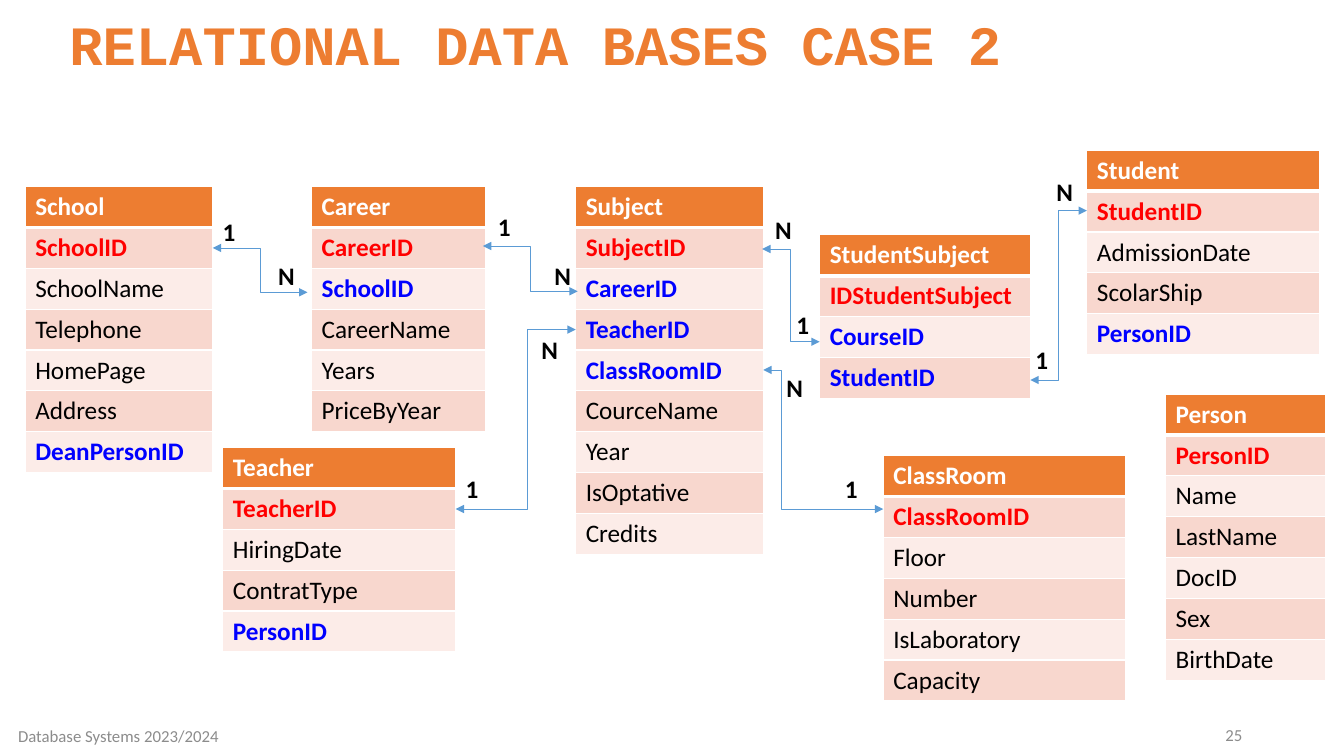
import pptx
import pptx.util
import pptx.dml.color
import pptx.enum.shapes
import pptx.enum.text
import pptx.oxml.ns
from lxml import etree

Inches = pptx.util.Inches
Pt = pptx.util.Pt
RGBColor = pptx.dml.color.RGBColor
PP_ALIGN = pptx.enum.text.PP_ALIGN
MSO_ANCHOR = pptx.enum.text.MSO_ANCHOR
qn = pptx.oxml.ns.qn

ORANGE = RGBColor(0xED, 0x7D, 0x31)
DARK_BAND = RGBColor(0xF8, 0xD7, 0xCE)
LIGHT_BAND = RGBColor(0xFC, 0xEC, 0xE8)
WHITE = RGBColor(0xFF, 0xFF, 0xFF)
BLACK = RGBColor(0, 0, 0)
RED = RGBColor(0xFF, 0, 0)
BLUE = RGBColor(0, 0, 0xFF)
LINK_BLUE = RGBColor(0x5B, 0x9B, 0xD5)
GRAY = RGBColor(0x8C, 0x8C, 0x8C)

ROW_HEIGHT = Inches(3.65) // 9
FOREIGN_KEYS = {"SchoolID", "DeanPersonID", "CareerID", "TeacherID",
                "ClassRoomID", "CourseID", "StudentID", "PersonID"}

TABLES = [
    (3.09, 1.85, 1.73, ["Career", "CareerID", "SchoolID", "CareerName", "Years",
                        "PriceByYear"]),
    (0.25, 1.85, 1.86, ["School", "SchoolID", "SchoolName", "Telephone", "HomePage",
                        "Address", "DeanPersonID"]),
    (5.71, 1.85, 1.86, ["Subject", "SubjectID", "CareerID", "TeacherID", "ClassRoomID",
                        "CourceName", "Year", "IsOptative", "Credits"]),
    (10.78, 1.49, 2.31, ["Student", "StudentID", "AdmissionDate", "ScolarShip",
                         "PersonID"]),
    (8.76, 4.52, 2.4, ["ClassRoom", "ClassRoomID", "Floor", "Number", "IsLaboratory",
                       "Capacity"]),
    (2.21, 4.44, 2.31, ["Teacher", "TeacherID", "HiringDate", "ContratType", "PersonID"]),
    (8.13, 2.33, 2.09, ["StudentSubject", "IDStudentSubject", "CourseID", "StudentID"]),
    (11.56, 3.91, 1.59, ["Person", "PersonID", "Name", "LastName", "DocID", "Sex",
                         "BirthDate"]),
]

LINKS = [
    (2.11, 2.46, 2.58, 3.05, 2.9),
    (4.79, 2.44, 5.26, 5.73, 2.89),
    (4.52, 5.05, 5.23, 5.71, 3.27),
    (7.56, 2.47, 7.84, 8.13, 3.39),
    (10.22, 3.77, 10.5, 10.78, 2.09),
    (7.57, 3.67, 7.75, 8.76, 5.05),
]

CARDINALITIES = [
    ("1", 2.11, 2.1), ("N", 2.66, 2.53),
    ("1", 4.84, 2.05), ("N", 5.4, 2.53),
    ("1", 4.52, 4.65), ("N", 5.27, 3.27),
    ("N", 7.59, 2.08), ("1", 7.8, 3.02),
    ("1", 10.17, 3.37), ("N", 10.38, 1.7),
    ("N", 7.7, 3.64), ("1", 8.28, 4.65),
]


def style_text(p, size, color, bold=False, font="Calibri"):
    for r in p.runs:
        r.font.name = font
        r.font.size = Pt(size)
        r.font.bold = bold
        r.font.color.rgb = color


def add_text(text, x, y, w, h, anchor=MSO_ANCHOR.MIDDLE):
    sp = s.shapes.add_textbox(Inches(x), Inches(y), Inches(w), Inches(h))
    tf = sp.text_frame
    tf.word_wrap = True
    tf.vertical_anchor = anchor
    tf.text = text
    return tf.paragraphs[0]


prs = pptx.Presentation()
prs.slide_width = Inches(13.33)
prs.slide_height = Inches(7.5)
s = prs.slides.add_slide(prs.slide_layouts[6])

for x, y, w, fields in TABLES:
    table = s.shapes.add_table(len(fields), 1, Inches(x), Inches(y), Inches(w),
                               ROW_HEIGHT * len(fields)).table
    for i, field in enumerate(fields):
        table.rows[i].height = ROW_HEIGHT
        cell = table.cell(i, 0)
        cell.text = field
        if i == 0:
            fill, color = ORANGE, WHITE
        else:
            fill = DARK_BAND if i % 2 else LIGHT_BAND
            color = RED if i == 1 else BLUE if field in FOREIGN_KEYS else BLACK
        style_text(cell.text_frame.paragraphs[0], 18, color, color != BLACK)
        tcPr = cell._tc.get_or_add_tcPr()
        for side in ("lnL", "lnR", "lnT", "lnB"):
            under_header = (i, side) in ((0, "lnB"), (1, "lnT"))
            ln = etree.SubElement(tcPr, qn("a:" + side), w=str(Pt(3 if under_header else 1)))
            line_fill = etree.SubElement(ln, qn("a:solidFill"))
            etree.SubElement(line_fill, qn("a:srgbClr"), val=str(WHITE))
        cell.fill.solid()
        cell.fill.fore_color.rgb = fill

for x1, y1, bend, x2, y2 in LINKS:
    link = s.shapes.add_connector(pptx.enum.shapes.MSO_CONNECTOR.ELBOW,
                                  Inches(x1), Inches(y1), Inches(x2), Inches(y2))
    link.line.color.rgb = LINK_BLUE
    link.line.width = Pt(0.5)
    spPr = link._element.spPr
    avLst = spPr.find(qn("a:prstGeom")).get_or_add_avLst()
    ratio = round((bend - x1) / (x2 - x1) * 100000)
    etree.SubElement(avLst, qn("a:gd"), name="adj1", fmla=f"val {ratio}")
    ln = link.line._get_or_add_ln()
    for end in ("headEnd", "tailEnd"):
        etree.SubElement(ln, qn("a:" + end), type="triangle")
    etree.SubElement(spPr, qn("a:effectLst"))

for text, x, y in CARDINALITIES:
    p = add_text(text, x, y, 0.39, 0.4, MSO_ANCHOR.TOP)
    style_text(p, 18, BLACK, True)

p = add_text("RELATIONAL DATA BASES CASE 2", 0.59, 0.15, 11.72, 0.69)
p.line_spacing = 0.8
style_text(p, 39.6, ORANGE, True, "Courier New")

p = add_text("25", 9.42, 7.09, 3, 0.4)
p.alignment = PP_ALIGN.RIGHT
style_text(p, 12, GRAY)

p = add_text("Database Systems 2023/2024", 0, 7.1, 2.35, 0.4)
p.alignment = PP_ALIGN.CENTER
style_text(p, 12, GRAY)

prs.save("out.pptx")
